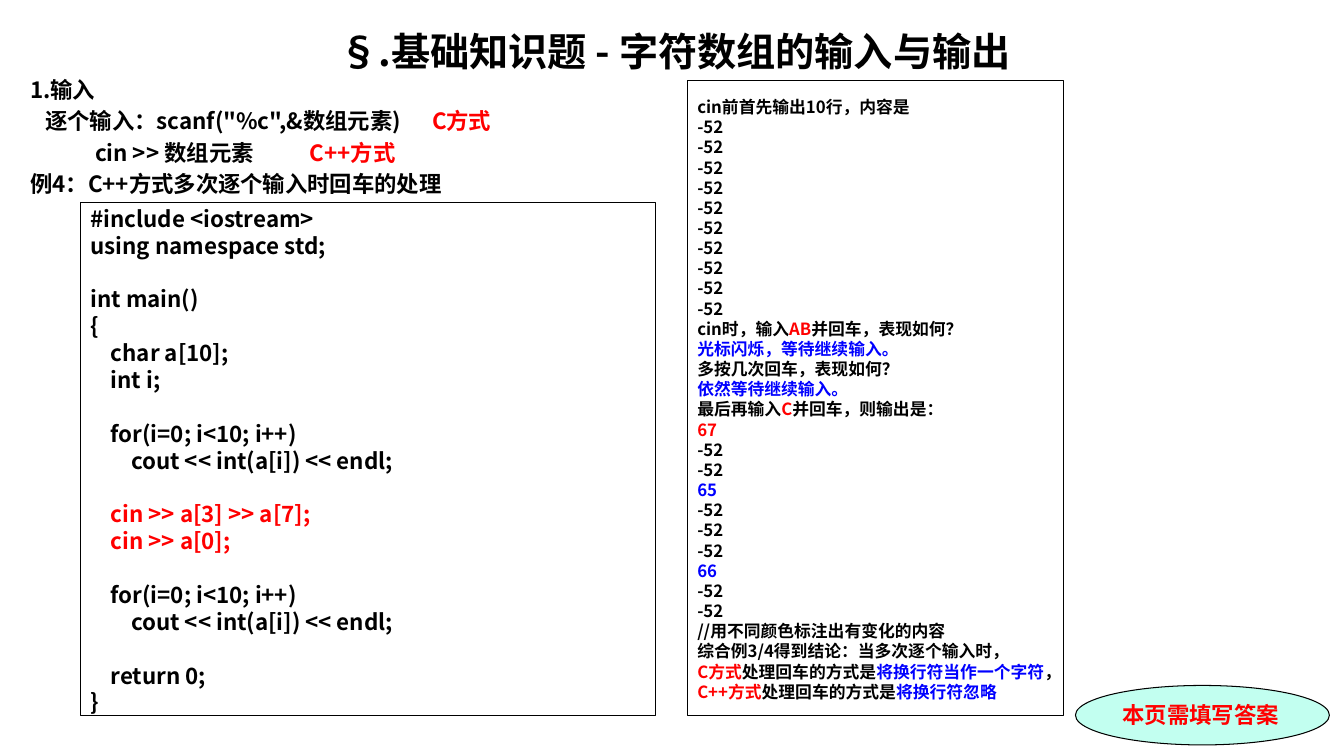
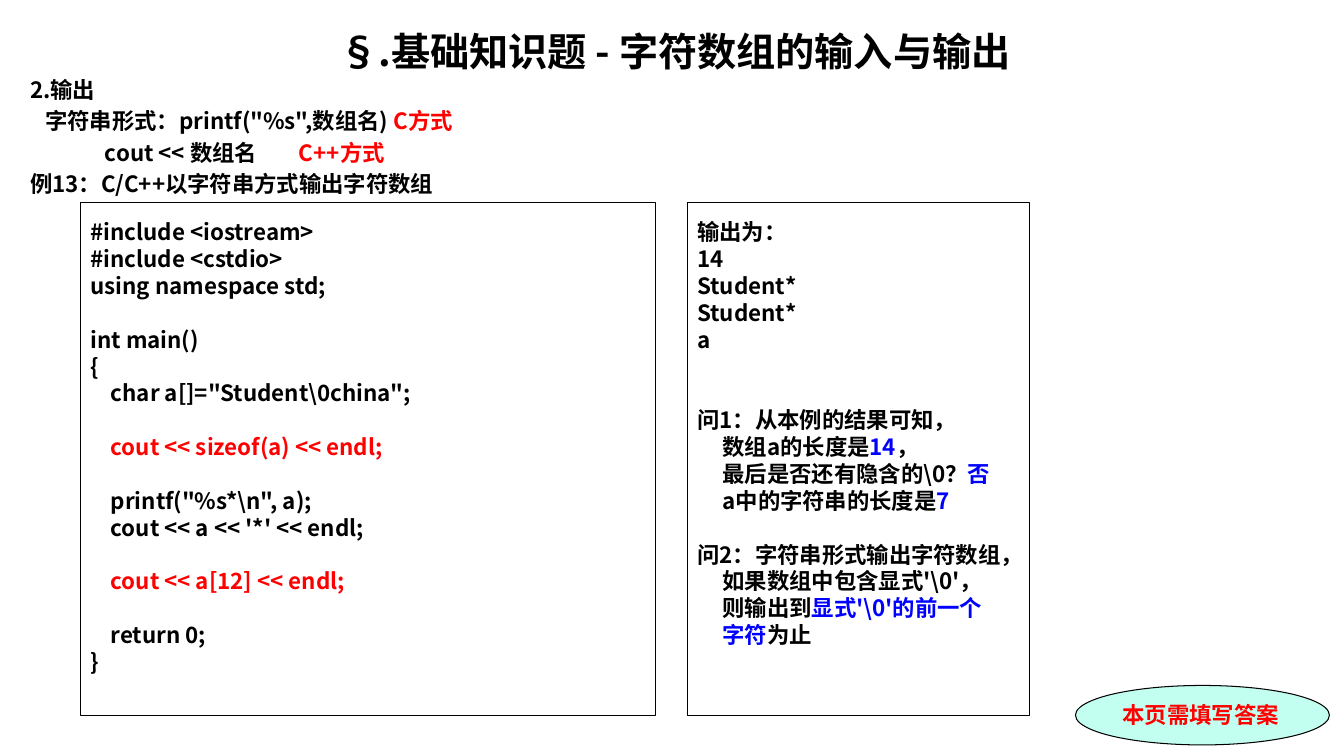
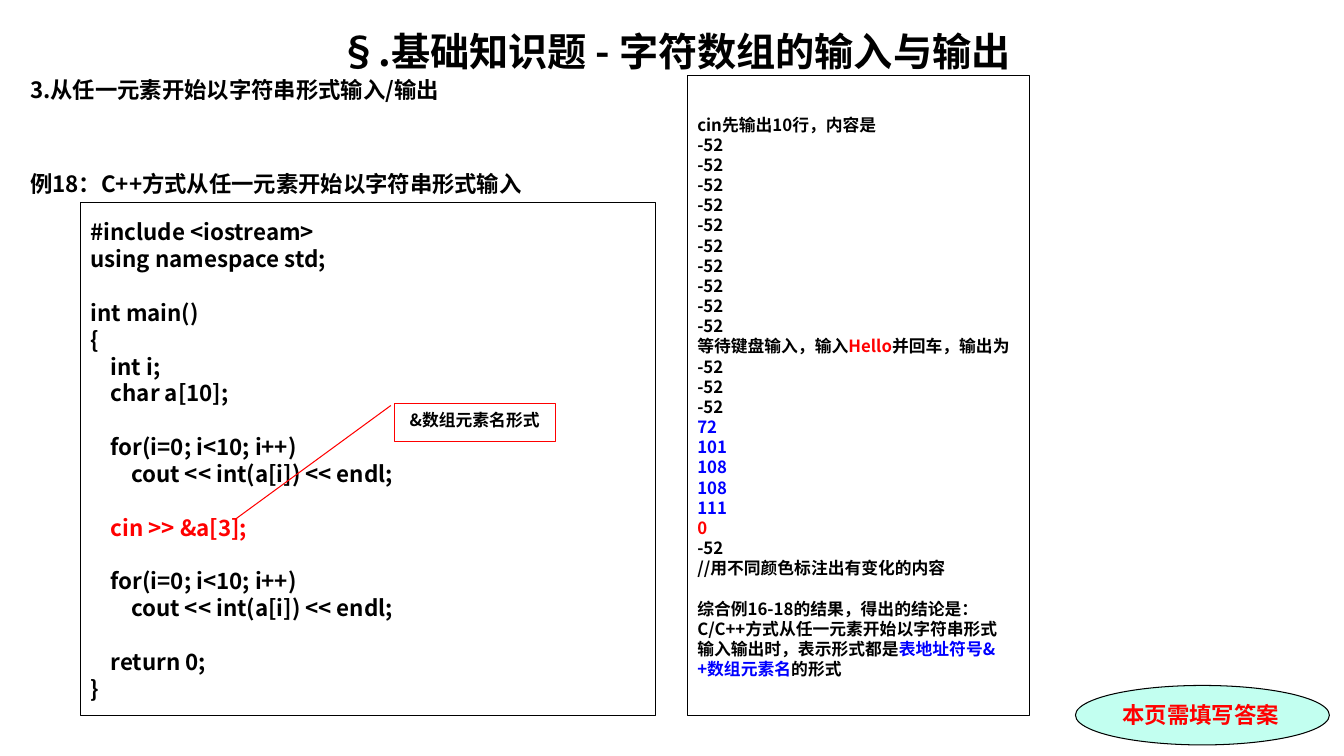
from lxml.etree import SubElement
from pptx import Presentation
from pptx.dml.color import RGBColor
from pptx.enum.shapes import MSO_SHAPE
from pptx.enum.text import MSO_ANCHOR, MSO_AUTO_SIZE, PP_ALIGN
from pptx.oxml.ns import qn
from pptx.util import Pt

COLOURS = {"black": "000000", "red": "FF0000", "blue": "0000FF", "mint": "C2FFF0"}
FONT = "Noto Sans CJK SC"
BADGE_FONT = "Times New Roman"
LINE_HEIGHT = 1.2
PANEL_BOTTOM = 511.2
CODE_LEFT, CODE_TOP, CODE_WIDTH = 57.6, 144.7, 410.4
OUTPUT_LEFT = 491


def red(text):
    return text, "red"


def blue(text):
    return text, "blue"


class Deck:
    def __init__(self):
        self.presentation = Presentation()
        self.presentation.slide_width = Pt(960)
        self.presentation.slide_height = Pt(540)
        self.slide = None

    def new_slide(self, heading):
        layout = self.presentation.slide_layouts[5]
        self.slide = self.presentation.slides.add_slide(layout)
        title = self.slide.shapes.title
        title.left, title.top, title.width, title.height = Pt(14.4), Pt(19.4), Pt(935.3), Pt(34)
        self.set_lines(title.text_frame, [heading], 28, align=PP_ALIGN.CENTER, insets=(0, 0, 0, 0))
        self.badge()

    def set_lines(self, frame, lines, size, align=PP_ALIGN.LEFT, gap=0, stops=(),
                  insets=(7.2, 5, 7.2, 3.6), anchor=MSO_ANCHOR.TOP, wrap=True, font=FONT):
        """Fill a frame; an empty line becomes space before the next one or below the last."""
        step = size * LINE_HEIGHT
        frame.word_wrap = wrap
        frame.auto_size = MSO_AUTO_SIZE.NONE
        frame.vertical_anchor = anchor
        paragraph, blanks = None, 0
        for line in lines:
            if not line:
                blanks += 1
                continue
            first = paragraph is None
            paragraph = frame.paragraphs[0] if first else frame.add_paragraph()
            paragraph.alignment = align
            paragraph.line_spacing = Pt(step)
            paragraph.space_before = Pt(0 if first else gap + blanks * (step + gap))
            blanks = 0
            self.add_tabs(paragraph, stops)
            for part in [line] if isinstance(line, str) else line:
                text, colour = (part, "black") if isinstance(part, str) else part
                self.add_run(paragraph, text, colour, size, font)
        left, top, right, bottom = insets
        frame.margin_left, frame.margin_top = Pt(left), Pt(top)
        frame.margin_right, frame.margin_bottom = Pt(right), Pt(bottom + blanks * step)

    def add_tabs(self, paragraph, stops):
        if stops:
            tabs = SubElement(paragraph._p.get_or_add_pPr(), qn("a:tabLst"))
            for stop in stops:
                SubElement(tabs, qn("a:tab"), pos=str(Pt(stop)), algn="l")

    def add_run(self, paragraph, text, colour, size, font):
        run = paragraph.add_run()
        run.text = text
        run.font.name = font
        run.font.size = Pt(size)
        run.font.bold = True
        run.font.color.rgb = RGBColor.from_string(COLOURS[colour])
        SubElement(run._r.get_or_add_rPr(), qn("a:ea"), typeface=FONT)

    def outline(self, kind, left, top, width, height, line="black", fill=None):
        shape = self.slide.shapes.add_shape(kind, Pt(left), Pt(top), Pt(width), Pt(height))
        shape.shadow.inherit = False
        if fill:
            shape.fill.solid()
            shape.fill.fore_color.rgb = RGBColor.from_string(COLOURS[fill])
        else:
            shape.fill.background()
        shape.line.color.rgb = RGBColor.from_string(COLOURS[line])
        shape.line.width = Pt(0.75)
        return shape

    def badge(self):
        ellipse = self.outline(MSO_SHAPE.OVAL, 768.2, 489.6, 181.4, 42.5, fill="mint")
        self.set_lines(ellipse.text_frame, [[red("本页需填写答案")]], 16,
                       insets=(7.2, 5, 0, 0), font=BADGE_FONT)

    def intro(self, lines, stops=()):
        box = self.slide.shapes.add_textbox(Pt(21.6), Pt(54.4), Pt(460), Pt(88))
        self.set_lines(box.text_frame, lines, 16, gap=3.2, stops=stops, insets=(0, 0, 0, 0))

    def panel(self, left, top, width, lines, size, stops=()):
        frame = self.outline(MSO_SHAPE.RECTANGLE, left, top, width, PANEL_BOTTOM - top)
        self.set_lines(frame.text_frame, lines, size, stops=stops,
                       anchor=MSO_ANCHOR.MIDDLE, wrap=False)

    def code(self, lines):
        self.panel(CODE_LEFT, CODE_TOP, CODE_WIDTH, lines, 16)

    def output(self, top, width, lines, size=12, stops=()):
        self.panel(OUTPUT_LEFT, top, width, lines, size, stops)

    def callout(self, left, top, width, height, text, tail):
        note = self.outline(MSO_SHAPE.LINE_CALLOUT_1, left, top, width, height, line="red")
        for index, value in enumerate(tail):
            note.adjustments[index] = value
        self.set_lines(note.text_frame, [text], 12, align=PP_ALIGN.CENTER)


HEADING = "§.基础知识题 - 字符数组的输入与输出"
COLOUR_NOTE = "//用不同颜色标注出有变化的内容"
PRINT_LOOP = ["    for(i=0; i<10; i++)", "        cout << int(a[i]) << endl;", ""]
CODE_END = ["    return 0;", "}"]


def garbage(count):
    """Lines printed for elements that hold no assigned value."""
    return ["-52"] * count


def input_slide(deck):
    deck.new_slide(HEADING)
    deck.intro([
        "1.输入",
        ["\t逐个输入：scanf(\"%c\",&数组元素)\t", red("C方式")],
        ["\t\tcin >> 数组元素\t", red("C++方式")],
        "例4：C++方式多次逐个输入时回车的处理",
    ], stops=(10.7, 46.3, 199.8, 287))
    deck.code([
        "#include <iostream>", "using namespace std;", "",
        "int main()", "{", "    char a[10];", "    int i;", "",
        *PRINT_LOOP,
        [red("    cin >> a[3] >> a[7];")], [red("    cin >> a[0];")], "",
        *PRINT_LOOP, *CODE_END,
    ])
    deck.output(57.6, 268.6, [
        "cin前首先输出10行，内容是", *garbage(10),
        ["cin时，输入", red("AB"), "并回车，表现如何？"],
        [blue("光标闪烁，等待继续输入。")],
        "多按几次回车，表现如何？",
        [blue("依然等待继续输入。")],
        ["最后再输入", red("C"), "并回车，则输出是："],
        [red("67")], *garbage(2), [blue("65")], *garbage(3), [blue("66")], *garbage(2),
        COLOUR_NOTE,
        "综合例3/4得到结论：当多次逐个输入时，",
        [red("C方式"), "处理回车的方式是", blue("将换行符当作一个字符"), "，"],
        [red("C++方式"), "处理回车的方式是", blue("将换行符忽略")],
    ])


def output_slide(deck):
    deck.new_slide(HEADING)
    deck.intro([
        "2.输出",
        ["\t字符串形式：printf(\"%s\",数组名) ", red("C方式")],
        ["\t\tcout << 数组名\t", red("C++方式")],
        "例13：C/C++以字符串方式输出字符数组",
    ], stops=(10.7, 53.4, 192))
    deck.code([
        "#include <iostream>", "#include <cstdio>", "using namespace std;", "",
        "int main()", "{", "    char a[]=\"Student\\0china\";", "",
        [red("    cout << sizeof(a) << endl;")], "",
        "    printf(\"%s*\\n\", a);", "    cout << a << '*' << endl;", "",
        [red("    cout << a[12] << endl;")], "",
        *CODE_END, "",
    ])
    deck.output(CODE_TOP, 244.1, [
        "输出为：", "14", "Student*", "Student*", "a", "", "",
        "问1：从本例的结果可知，",
        ["\t数组a的长度是", blue("14"), "，"],
        ["\t最后是否还有隐含的\\0？", blue("否")],
        ["\ta中的字符串的长度是", blue("7")], "",
        "问2：字符串形式输出字符数组，",
        "\t如果数组中包含显式'\\0'，",
        ["\t则输出到", blue("显式'\\0'的前一个")],
        [blue("\t字符"), "为止"], "", "",
    ], size=16, stops=(18,))


def any_element_slide(deck):
    deck.new_slide(HEADING)
    deck.intro([
        "3.从任一元素开始以字符串形式输入/输出", "", "",
        "例18：C++方式从任一元素开始以字符串形式输入",
    ])
    deck.code([
        "#include <iostream>", "using namespace std;", "",
        "int main()", "{", "    int i;", "    char a[10];", "",
        *PRINT_LOOP,
        [red("    cin >> &a[3];")], "",
        *PRINT_LOOP, *CODE_END,
    ])
    deck.output(54, 244.1, [
        "cin先输出10行，内容是", *garbage(10),
        ["等待键盘输入，输入", red("Hello"), "并回车，输出为"],
        *garbage(3),
        *[[blue(value)] for value in ("72", "101", "108", "108", "111")],
        [red("0")], *garbage(1),
        COLOUR_NOTE, "",
        "综合例16-18的结果，得出的结论是：",
        "C/C++方式从任一元素开始以字符串形式",
        ["输入输出时，表示形式都是", blue("表地址符号&")],
        [blue("+数组元素名"), "的形式"],
    ])
    deck.callout(281.5, 288, 115.2, 27.4, "&数组元素名形式", (0.06, -0.02, 3.01, -0.98))


def main():
    deck = Deck()
    input_slide(deck)
    output_slide(deck)
    any_element_slide(deck)
    deck.presentation.save("out.pptx")


if __name__ == "__main__":
    main()
